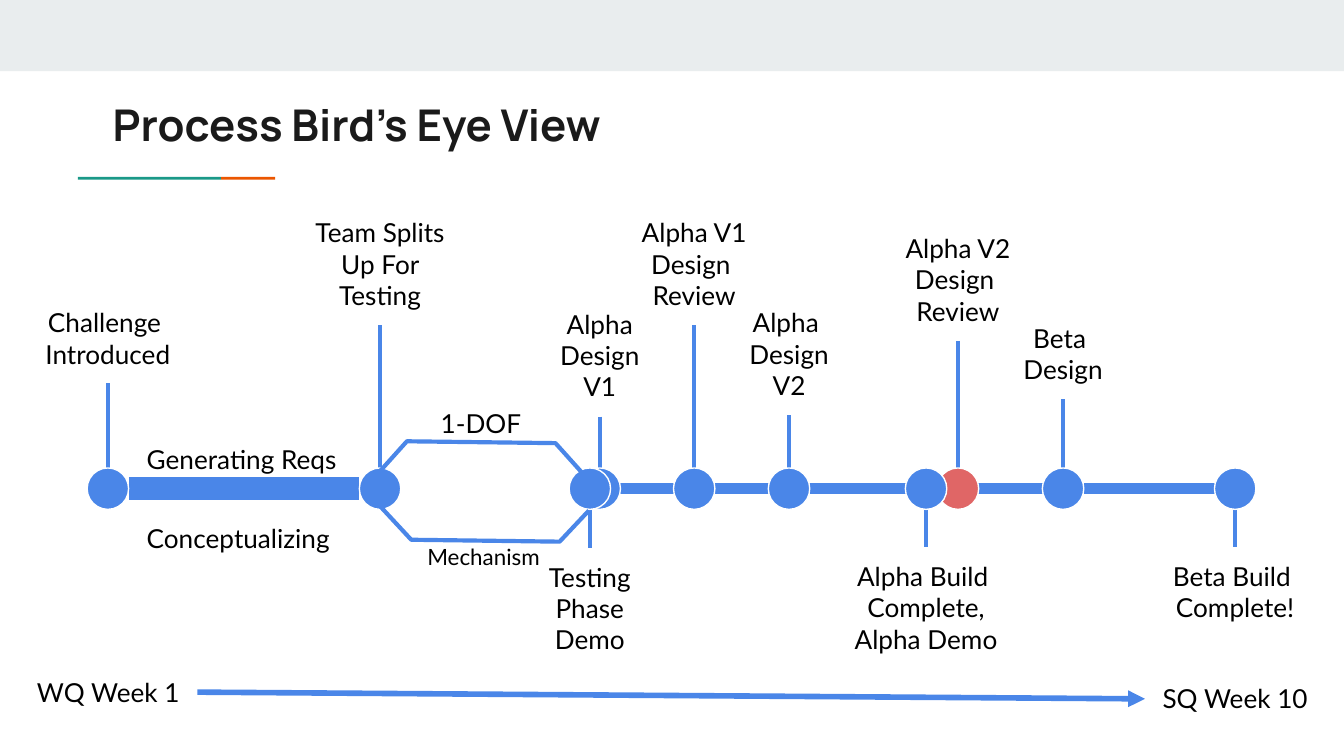
"""Build the project timeline slide."""
import pptx
import pptx.util
import pptx.dml.color
import pptx.enum.shapes
import pptx.enum.text
import lxml.etree
from pptx.oxml.ns import qn

Pt = pptx.util.Pt
RGBColor = pptx.dml.color.RGBColor
SHAPE = pptx.enum.shapes.MSO_SHAPE
ALIGN = pptx.enum.text.PP_ALIGN
BLUE = RGBColor(0x4A, 0x86, 0xE8)
RED = RGBColor(0xE0, 0x66, 0x66)
WHITE = RGBColor(0xFF, 0xFF, 0xFF)
BLACK = RGBColor(0, 0, 0)
INK = RGBColor(0x1A, 0x1A, 0x1A)
BAND = RGBColor(0xE9, 0xED, 0xEE)
TEAL = RGBColor(0x1A, 0x99, 0x88)
ORANGE = RGBColor(0xEB, 0x56, 0x00)

prs = pptx.Presentation()
prs.slide_width, prs.slide_height = Pt(720), Pt(405)
s = prs.slides.add_slide(prs.slide_layouts[6])


def add_text(text, x, y, w, h, align=ALIGN.CENTER, size=14, font="Lato", color=BLACK, bold=False):
    tf = s.shapes.add_textbox(Pt(x), Pt(y), Pt(w), Pt(h)).text_frame
    tf.word_wrap = True
    tf.margin_left = tf.margin_right = tf.margin_top = tf.margin_bottom = Pt(7.2)
    tf.text = text
    for p in tf.paragraphs:
        p.alignment = align
        p.font.name, p.font.size, p.font.bold = font, Pt(size), bold
        p.font.color.rgb = color


def add_line(x1, y1, x2, y2, width):
    line = s.shapes.add_connector(
        pptx.enum.shapes.MSO_CONNECTOR.STRAIGHT, Pt(x1), Pt(y1), Pt(x2), Pt(y2))
    line.line.color.rgb, line.line.width = BLUE, Pt(width)
    lxml.etree.SubElement(line._element.spPr, qn("a:effectLst"))
    return line


for x, y, w, h, color in [(0, 0, 720, 38.2, BAND), (41.8, 94.8, 76.6, 1.5, TEAL),
                          (118.4, 94.8, 29, 1.5, ORANGE)]:
    bar = s.shapes.add_shape(SHAPE.RECTANGLE, Pt(x), Pt(y), Pt(w), Pt(h))
    bar.shadow.inherit = False
    bar.fill.solid()
    bar.fill.fore_color.rgb = color
    bar.line.fill.background()

add_text("Process Bird’s Eye View", 53.3, 45.4, 605.5, 42.5, ALIGN.LEFT, 23.4, "Manrope", INK, True)

axis_y, radius, label_w = 261.8, 11.1, 96
add_line(69, axis_y, 192.2, axis_y, 12)
add_line(327, axis_y, 651, axis_y, 6)

milestones = [
    (57.8, 157, 48.4, BLUE, "Challenge \nIntroduced"),
    (203.6, 108.8, 65.4, BLUE, "Team Splits Up For Testing"),
    (321.3, 157.8, 65.4, BLUE, "Alpha\nDesign\nV1"),
    (316, 293.4, 65.4, BLUE, "Testing Phase\nDemo"),
    (371.9, 108.8, 65.4, BLUE, "Alpha V1\nDesign \nReview"),
    (422.7, 157, 65.4, BLUE, "Alpha \nDesign\nV2"),
    (513.2, 117.2, 65.4, RED, "Alpha V2\nDesign \nReview"),
    (496.1, 293, 65.4, BLUE, "Alpha Build \nComplete,\nAlpha Demo"),
    (569.5, 165.4, 48.4, BLUE, "Beta \nDesign"),
    (661.7, 293, 48.4, BLUE, "Beta Build \nComplete!"),
]
for x, top, height, color, label in milestones:
    if top < axis_y:
        add_line(x, top + height, x, axis_y - radius, 2.25)
    else:
        add_line(x, axis_y + radius, x, top, 2.25)
    dot = s.shapes.add_shape(SHAPE.OVAL, Pt(x - radius), Pt(axis_y - radius),
                             Pt(2 * radius), Pt(2 * radius))
    dot.shadow.inherit = False
    dot.fill.solid()
    dot.fill.fore_color.rgb = color
    dot.line.color.rgb, dot.line.width = WHITE, Pt(0.75)
    add_text(label, x - label_w / 2, top, label_w, height)

branches = [
    [(203.8, 271.4), (220.3, 289.2), (299.8, 290.2), (315.4, 273.6)],
    [(203.8, 252.2), (218, 236.4), (297.6, 237.4), (313.6, 255.2)],
]
for points in branches:
    (x, y), *rest = [(Pt(px), Pt(py)) for px, py in points]
    builder = s.shapes.build_freeform(x, y)
    builder.add_line_segments(rest, close=False)
    branch = builder.convert_to_shape()
    branch.shadow.inherit = False
    branch.fill.background()
    branch.line.color.rgb, branch.line.width = BLUE, Pt(2.25)

for text, x, y, w, size in [("Generating Reqs", 71.5, 230.4, 123, 14),
                            ("Conceptualizing", 71.5, 272.9, 123, 14),
                            ("1-DOF", 229, 211, 66.2, 14),
                            ("Mechanism", 221.8, 283.7, 75.6, 12)]:
    add_text(text, x, y, w, 31.7, ALIGN.LEFT, size)

add_text("WQ Week 1", 10, 355, label_w, 31.7)
add_text("SQ Week 10", 613.7, 358.6, label_w, 31.7)
arrow = add_line(105.8, 370.8, 613.4, 374.4, 3)
lxml.etree.SubElement(arrow.line._get_or_add_ln(), qn("a:tailEnd"), type="triangle")

prs.save("out.pptx")
